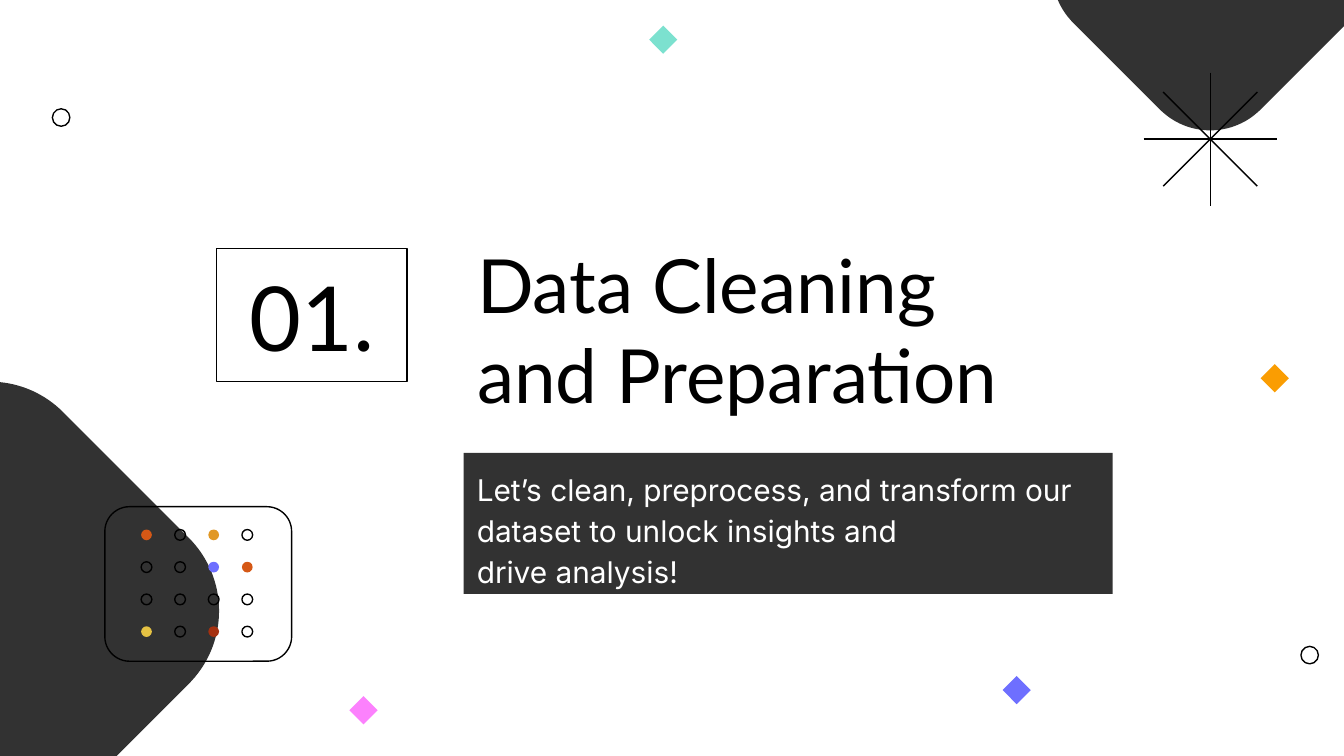
import math
from dataclasses import dataclass

from lxml import etree
from pptx import Presentation
from pptx import util as u
from pptx.dml import color
from pptx.enum import shapes, text
from pptx.oxml import ns

FORM = shapes.MSO_SHAPE
ALIGN = text.PP_ALIGN
ANCHOR = text.MSO_ANCHOR
HARD = chr(160)


@dataclass(frozen=True)
class Theme:
    ink: str = "000000"
    dark: str = "323232"
    white: str = "FFFFFF"
    mint: str = "7CE1CF"
    orange: str = "FA9D02"
    pink: str = "FC81FD"
    blue: str = "6E6FFF"
    rust: str = "D55816"
    amber: str = "E19825"
    gold: str = "E5C243"
    brick: str = "A5300F"
    head: str = "Lato"
    body: str = "Inter"
    title: int = 40
    number: int = 48
    note: int = 16
    line: float = 0.75


T = Theme()


def tint(code):
    return color.RGBColor.from_string(code)


def apply(thing, style):
    for name, value in style.items():
        setattr(thing, name, value)


def paint(shape, fill=None, line=None):
    shape.shadow.inherit = False
    if fill:
        shape.fill.solid()
        shape.fill.fore_color.rgb = tint(fill)
    else:
        shape.fill.background()
    if line:
        shape.line.color.rgb = tint(line)
        shape.line.width = u.Pt(T.line)
    else:
        shape.line.fill.background()


def draw(slide, form, box, **style):
    shape = slide.shapes.add_shape(form, *map(u.Inches, box))
    paint(shape, **style)
    return shape


def write(shape, words, face, size, ink, anchor, align, gap=1.0):
    frame = shape.text_frame
    frame.text = words
    pad = u.Inches(0.1)
    apply(frame, {
        "word_wrap": True, "auto_size": text.MSO_AUTO_SIZE.NONE,
        "vertical_anchor": anchor, "margin_left": pad,
        "margin_right": pad, "margin_top": pad, "margin_bottom": pad,
    })
    para = frame.paragraphs[0]
    apply(para, {"alignment": align, "line_spacing": gap})
    font = para.runs[0].font
    apply(font, {"name": face, "size": u.Pt(size)})
    font.color.rgb = tint(ink)


def add_gem(slide, box, top=-9):
    left, y, side, _ = box
    half = side / 2
    curve = half * 0.45
    reach = half - curve
    points = []
    for turn in range(4):
        mid = turn * 90
        for step in range(-45, 46):
            angle = math.radians(mid + step)
            px = left + half + reach * math.cos(math.radians(mid)) + curve * math.cos(angle)
            py = y + half + reach * math.sin(math.radians(mid)) + curve * math.sin(angle)
            if py >= top:
                points.append((u.Inches(px), u.Inches(py)))
    pen = slide.shapes.build_freeform(*points[0])
    pen.add_line_segments(points[1:], close=True)
    paint(pen.convert_to_shape(), fill=T.dark)


def add_marks(slide, box):
    left, top, _, _ = box
    for x, y in ((0.39, 0.81), (9.68, 4.81)):
        draw(slide, FORM.OVAL, (left + x, top + y, 0.13, 0.13), line=T.ink)
    for x, y, fill in (
        (4.83, 0.19, T.mint), (9.38, 2.71, T.orange),
        (2.6, 5.18, T.pink), (7.46, 5.03, T.blue),
    ):
        draw(slide, FORM.DIAMOND, (left + x, top + y, 0.21, 0.21), fill=fill)


def add_head(slide, box):
    left, top, _, _ = box
    title = slide.shapes.title
    place = (left + 1.84, top, 4.54, 1.42)
    apply(title, dict(zip(("left", "top", "width", "height"), map(u.Inches, place))))
    write(title, "Data Cleaning and Preparation", T.head, T.title, T.ink,
          ANCHOR.BOTTOM, ALIGN.LEFT)
    note = draw(slide, FORM.RECTANGLE, (left + 1.84, top + 1.58, 4.83, 1.05), fill=T.dark)
    write(note, "Let’s clean, preprocess, and transform our dataset to unlock "
          f"insights and drive{HARD}analysis!", T.body, T.note, T.white,
          ANCHOR.TOP, ALIGN.LEFT, 1.15)
    badge = draw(slide, FORM.RECTANGLE, (left, top + 0.06, 1.42, 0.99), line=T.ink)
    write(badge, "01.", T.head, T.number, T.ink, ANCHOR.MIDDLE, ALIGN.CENTER)


def add_star(slide, box):
    left, top, side, _ = box
    half = side / 2
    for turn in range(4):
        angle = math.radians(45 * turn)
        dx, dy = half * math.cos(angle), half * math.sin(angle)
        ends = (left + half - dx, top + half - dy, left + half + dx, top + half + dy)
        ray = slide.shapes.add_connector(
            shapes.MSO_CONNECTOR.STRAIGHT, *map(u.Inches, ends))
        ray.line.color.rgb = tint(T.ink)
        ray.line.width = u.Pt(T.line)
        etree.SubElement(ray._element.spPr, ns.qn("a:effectLst"))


def add_dots(slide, box):
    left, top, _, _ = box
    card = draw(slide, FORM.ROUNDED_RECTANGLE, box, line=T.ink)
    card.adjustments[0] = 0.16
    rows = (
        (T.rust, None, T.amber, None),
        (None, None, T.blue, T.rust),
        (None, None, None, None),
        (T.gold, None, T.brick, None),
    )
    for row, fills in enumerate(rows):
        for col, fill in enumerate(fills):
            spot = (left + 0.27 + 0.25 * col, top + 0.17 + 0.24 * row, 0.08, 0.08)
            draw(slide, FORM.OVAL, spot, fill=fill, line=None if fill else T.ink)


def main():
    deck = Presentation()
    wide = u.Inches(10)
    deck.slide_width, deck.slide_height = wide, wide * 9 // 16
    slide = deck.slides.add_slide(deck.slide_layouts[5])
    add_gem(slide, (-1.78, 2.84, 3.41, 3.41))
    add_gem(slide, (7.83, -1.38, 2.35, 2.35), top=-0.02)
    add_marks(slide, (0, 0, 10, 5.62))
    add_head(slide, (1.61, 1.79, 6.67, 2.63))
    add_star(slide, (8.51, 0.54, 0.99, 0.99))
    add_dots(slide, (0.78, 3.77, 1.39, 1.15))
    deck.save("out.pptx")


if __name__ == "__main__":
    main()
